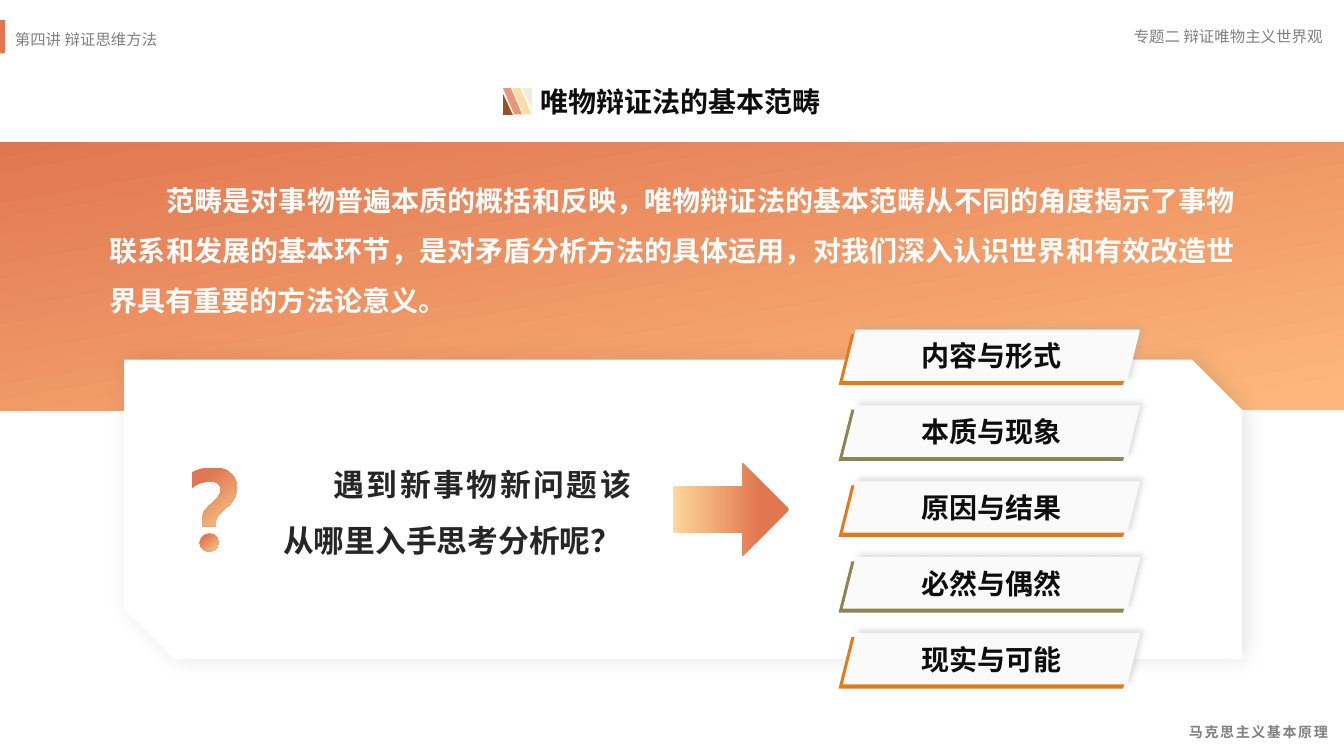
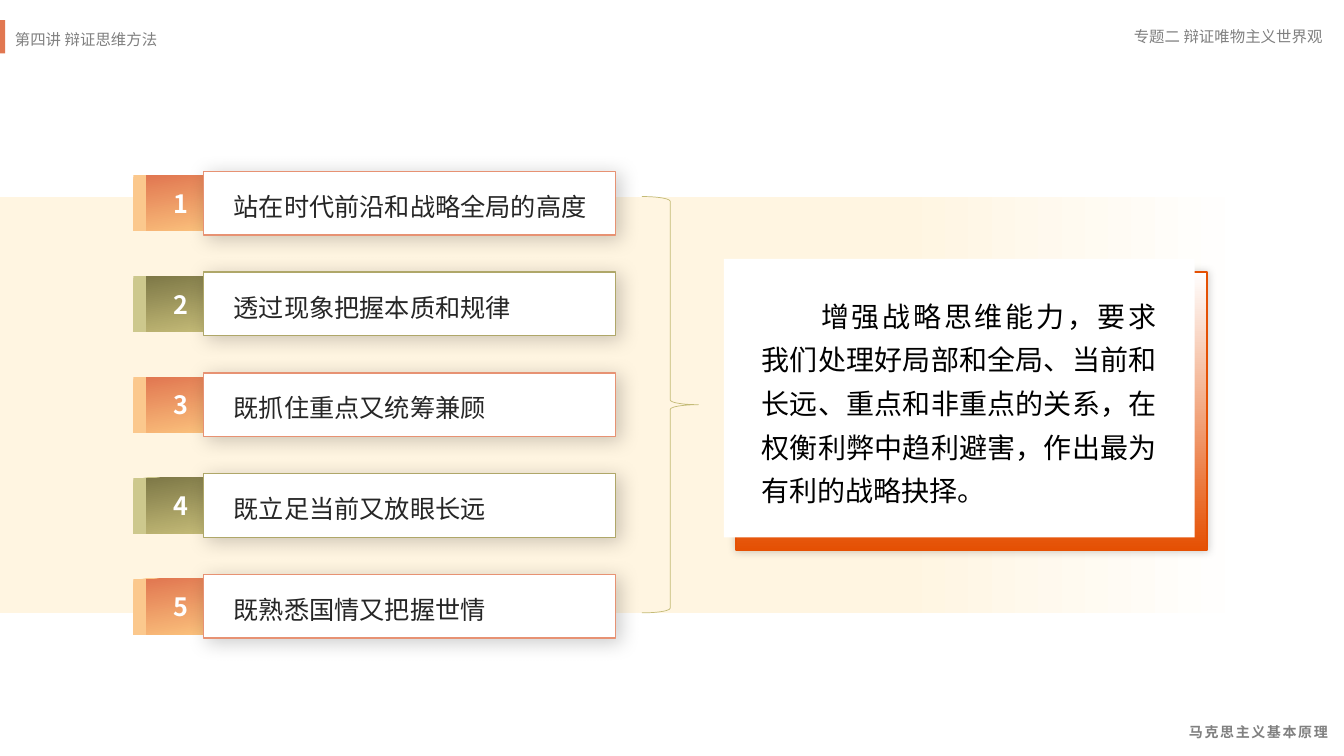
"""Build two slides on dialectical categories and strategic thinking."""
from lxml.etree import SubElement
from pptx import Presentation
from pptx.dml.color import RGBColor
from pptx.enum.shapes import MSO_SHAPE as SHAPE
from pptx.enum.text import MSO_ANCHOR as ANCHOR
from pptx.enum.text import MSO_AUTO_SIZE as AUTO_SIZE
from pptx.enum.text import PP_ALIGN as ALIGN
from pptx.oxml.ns import qn
from pptx.util import Pt

FONT = "Noto Sans CJK SC"
WHITE = RGBColor(0xFF, 0xFF, 0xFF)
BLACK = RGBColor(0x00, 0x00, 0x00)
INK = RGBColor(0x0D, 0x0D, 0x0D)
CHARCOAL = RGBColor(0x26, 0x26, 0x26)
GREY = RGBColor(0x80, 0x80, 0x80)
SHADE = RGBColor(0xAF, 0xAB, 0xAB)
PLATE = RGBColor(0xFA, 0xFA, 0xFA)
CORAL = RGBColor(0xE1, 0x77, 0x51)
CORAL_LIGHT = RGBColor(0xE8, 0x97, 0x79)
CORAL_LINE = RGBColor(0xE7, 0x92, 0x73)
APRICOT = RGBColor(0xFD, 0xB6, 0x7B)
PEACH = RGBColor(0xFB, 0xC2, 0x7D)
PEACH_TAB = RGBColor(0xFB, 0xC8, 0x8D)
SAND = RGBColor(0xF5, 0xCC, 0x8A)
HONEY = RGBColor(0xFE, 0xD7, 0x9B)
HONEY_LIGHT = RGBColor(0xFE, 0xDC, 0xA3)
IVORY = RGBColor(0xF2, 0xEB, 0xD9)
CREAM = RGBColor(0xFF, 0xF5, 0xE1)
BROWN = RGBColor(0x98, 0x51, 0x25)
ORANGE = RGBColor(0xE3, 0x7A, 0x17)
FLAME = RGBColor(0xE5, 0x50, 0x03)
OLIVE = RGBColor(0x8C, 0x85, 0x50)
OLIVE_DARK = RGBColor(0x7E, 0x78, 0x47)
OLIVE_LIGHT = RGBColor(0xC5, 0xBC, 0x78)
OLIVE_TAB = RGBColor(0xCD, 0xC8, 0x8D)
OLIVE_LINE = RGBColor(0xAF, 0xA7, 0x69)
BRACE = RGBColor(0xC4, 0xBB, 0x77)

CATEGORIES = ["内容与形式", "本质与现象", "原因与结果", "必然与偶然", "现实与可能"]
ABILITIES = [
    "站在时代前沿和战略全局的高度",
    "透过现象把握本质和规律",
    "既抓住重点又统筹兼顾",
    "既立足当前又放眼长远",
    "既熟悉国情又把握世情",
]
ROW_STYLES = [
    ((0, CORAL), (100, PEACH), PEACH_TAB, CORAL_LINE),
    ((0, OLIVE_DARK), (100, OLIVE_LIGHT), OLIVE_TAB, OLIVE_LINE),
]
MARK_START = (20, 0)
MARK_SEGMENTS = [
    (28, 0, 34, 1, 38, 5), (43, 9, 45, 14, 45, 20), (45, 24, 44, 28, 42, 31),
    (41, 34, 37, 38, 33, 41), (29, 44, 27, 47, 26, 48), (25, 50, 24, 52, 24, 54),
    (24, 58), (11, 58), (11, 53),
    (11, 49, 11, 46, 13, 43), (15, 41, 16, 38, 20, 36), (23, 33, 26, 30, 27, 28),
    (28, 26, 29, 24, 29, 22), (29, 19, 28, 17, 26, 16), (24, 14, 22, 14, 18, 14),
    (12, 14, 6, 16, 0, 21), (0, 5), (6, 1, 13, 0, 20, 0),
]


def set_values(target, values):
    """Set each named attribute of the target."""
    for name, value in values.items():
        setattr(target, name, value)


def place(shape, left, top, width, height):
    """Move and size a shape, in points."""
    set_values(shape, {"left": Pt(left), "top": Pt(top),
                       "width": Pt(width), "height": Pt(height)})


def write(shape, text, size, color, bold=False, align=ALIGN.LEFT, spacing=1.0,
          indent=0, tracking=0, anchor=ANCHOR.TOP, margins=(7.2, 7.2)):
    """Write one formatted paragraph into a shape."""
    frame = shape.text_frame
    set_values(frame, {"word_wrap": True, "auto_size": AUTO_SIZE.NONE,
                       "vertical_anchor": anchor, "margin_left": Pt(margins[0]),
                       "margin_right": Pt(margins[1])})
    paragraph = frame.paragraphs[0]
    set_values(paragraph, {"alignment": align, "line_spacing": spacing})
    if indent:
        paragraph._p.get_or_add_pPr().set("indent", str(Pt(indent)))
    run = paragraph.add_run()
    run.text = text
    set_values(run.font, {"name": FONT, "size": Pt(size), "bold": bold})
    run.font.color.rgb = color
    properties = run._r.get_or_add_rPr()
    SubElement(properties, qn("a:ea"), typeface=FONT)
    if tracking:
        properties.set("spc", str(int(tracking * 100)))


def add_text(slide, box, text, size, color, **style):
    """Add a text box with one paragraph."""
    shape = slide.shapes.add_textbox(*map(Pt, box))
    write(shape, text, size, color, **style)
    return shape


def paint_gradient(shape, first, last, angle):
    """Fill with two (percent, colour) stops along a clockwise angle."""
    shape.fill.gradient()
    shape.fill.gradient_angle = (360 - angle) % 360
    for stop, (percent, color) in zip(shape.fill.gradient_stops, (first, last)):
        stop.position = percent / 100
        stop.color.rgb = color


def cast_shadow(shape, color, opacity, blur, distance, direction):
    """Give a shape an outer shadow."""
    effects = shape._element.spPr.find(qn("a:effectLst"))
    shadow = SubElement(effects, qn("a:outerShdw"), blurRad=str(Pt(blur)),
                        dist=str(Pt(distance)), dir=str(direction * 60000),
                        algn="ctr", rotWithShape="0")
    tint = SubElement(shadow, qn("a:srgbClr"), val=str(color))
    SubElement(tint, qn("a:alpha"), val=str(opacity * 1000))


def style_shape(shape, fill=None, gradient=None, line=None, shadow=None, flip=""):
    """Set fill, outline, shadow and flips of a shape."""
    shape.shadow.inherit = False
    if gradient:
        paint_gradient(shape, *gradient)
    elif fill is not None:
        shape.fill.solid()
        shape.fill.fore_color.rgb = fill
    else:
        shape.fill.background()
    if line:
        shape.line.color.rgb = line[0]
        shape.line.width = Pt(line[1])
    else:
        shape.line.fill.background()
    if shadow:
        cast_shadow(shape, *shadow)
    for axis in flip:
        shape._element.spPr.xfrm.set("flip" + axis, "1")


def add_panel(slide, preset, box, **style):
    """Add a styled preset shape."""
    shape = slide.shapes.add_shape(preset, *map(Pt, box))
    style_shape(shape, **style)
    return shape


def curve_points(start, segments, steps=8):
    """List the vertices of an outline of lines and cubic curves."""
    points = []
    here = start
    for segment in segments:
        end = segment[-2:]
        if len(segment) == 2:
            points.append(end)
        else:
            corners = (here, segment[:2], segment[2:4], end)
            for step in range(1, steps + 1):
                t = step / steps
                weights = ((1 - t) ** 3, 3 * t * (1 - t) ** 2, 3 * t * t * (1 - t), t ** 3)
                points.append(tuple(sum(weight * corner[axis] for weight, corner
                                        in zip(weights, corners)) for axis in (0, 1)))
        here = end
    return points


def add_question_mark(slide):
    """Draw the large question mark."""
    gradient = ((22, CORAL), (100, SAND), 50)
    start, *points = [(x * 10, y * 10) for x, y in
                      [MARK_START] + curve_points(MARK_START, MARK_SEGMENTS)]
    builder = slide.shapes.build_freeform(*start, scale=Pt(0.072))
    builder.add_line_segments(points, close=True)
    style_shape(builder.convert_to_shape(Pt(136.8), Pt(334)), gradient=gradient)
    add_panel(slide, SHAPE.OVAL, (142.5, 381, 13.7, 13), gradient=gradient)


def add_title(slide, text):
    """Fill the title and draw its striped icon."""
    place(slide.shapes.title, 378.7, 57, 222, 31.7)
    write(slide.shapes.title, text, 20, INK, bold=True)
    for preset, box, color, flip in (
        (SHAPE.PARALLELOGRAM, (366, 63, 13.7, 18.7), HONEY_LIGHT, "H"),
        (SHAPE.RIGHT_TRIANGLE, (373, 63, 7, 15), IVORY, "HV"),
        (SHAPE.PARALLELOGRAM, (359.3, 63, 13.7, 18.7), CORAL_LIGHT, "H"),
        (SHAPE.RIGHT_TRIANGLE, (359.3, 67, 7, 15), BROWN, ""),
    ):
        stripe = add_panel(slide, preset, box, fill=color, flip=flip)
        if preset == SHAPE.PARALLELOGRAM:
            stripe.adjustments[0] = 0.585


def add_category(slide, index, text):
    """Add one slanted category plate."""
    top = 235.4 + 54.2 * index
    accent = (ORANGE, OLIVE)[index % 2]
    add_panel(slide, SHAPE.PARALLELOGRAM, (599, top + 2.9, 212.4, 36.7), fill=accent)
    plate = add_panel(slide, SHAPE.PARALLELOGRAM, (602, top, 212.4, 36.7),
                      fill=PLATE, shadow=(SHADE, 40, 4, 3, 315))
    write(plate, text, 20, INK, bold=True, align=ALIGN.CENTER, anchor=ANCHOR.MIDDLE)


def add_ability(slide, index, text):
    """Add one numbered row."""
    top = 122.4 + 72 * index
    first, last, tab, edge = ROW_STYLES[index % 2]
    badge = add_panel(slide, SHAPE.RECTANGLE, (104.4, top + 2.9, 50.4, 39.6),
                      gradient=(first, last, 80), shadow=(tab, 100, 0, 9, 180))
    write(badge, str(index + 1), 18, WHITE, bold=True, align=ALIGN.CENTER,
          anchor=ANCHOR.MIDDLE)
    row = add_panel(slide, SHAPE.RECTANGLE, (145.4, top, 294.5, 45.4), fill=WHITE,
                    line=(edge, 1), shadow=(BLACK, 20, 14, 3, 45))
    write(row, text, 18, CHARCOAL, spacing=1.2, anchor=ANCHOR.MIDDLE, margins=(21.6, 7.2))


def add_master_frame(presentation, slide):
    """Draw the shared header and footer and move them to the master."""
    frame = [
        add_text(slide, (769, 507, 186.5, 23), "马克思主义基本原理", 10, GREY,
                 bold=True, align=ALIGN.RIGHT, spacing=1.5, tracking=1.2),
        add_text(slide, (715, 15.8, 236.9, 21), "专题二 辩证唯物主义世界观", 11, GREY,
                 align=ALIGN.RIGHT),
        add_text(slide, (3.6, 15.1, 563.8, 21.6), "第四讲 辩证思维方法", 11, GREY,
                 align=ALIGN.JUSTIFY, spacing=1.2),
        add_panel(slide, SHAPE.RECTANGLE, (0, 14.4, 3.6, 23.8), fill=CORAL),
    ]
    for number, shape in enumerate(frame, 100):
        shape._element.nvSpPr.cNvPr.set("id", str(number))
        presentation.slide_master.shapes._spTree.append(shape._element)


def build_categories(slide):
    """Build the slide on the basic categories."""
    add_title(slide, "唯物辩证法的基本范畴")
    add_panel(slide, SHAPE.RECTANGLE, (0, 102, 960, 191),
              gradient=((4, APRICOT), (100, CORAL), 260))
    add_panel(slide, SHAPE.SNIP_2_DIAG_RECTANGLE, (88.6, 257, 798.5, 213.8),
              fill=WHITE, shadow=(INK, 10, 15, 3, 0))
    add_text(slide, (71.3, 115.2, 818, 112.3),
             "范畴是对事物普遍本质的概括和反映，唯物辩证法的基本范畴从不同的角度揭示了事物"
             "联系和发展的基本环节，是对矛盾分析方法的具体运用，对我们深入认识世界和有效改造世"
             "界具有重要的方法论意义。",
             20, WHITE, bold=True, align=ALIGN.JUSTIFY, spacing=1.5, indent=40.5)
    add_text(slide, (195.1, 316, 262.8, 82.8), "遇到新事物新问题该从哪里入手思考分析呢？",
             22, CHARCOAL, bold=True, align=ALIGN.JUSTIFY, spacing=1.5, indent=36)
    add_question_mark(slide)
    add_panel(slide, SHAPE.RIGHT_ARROW, (480.5, 331, 83, 66),
              gradient=((0, HONEY), (75, CORAL), 0))
    for index, text in enumerate(CATEGORIES):
        add_category(slide, index, text)


def build_abilities(slide):
    """Build the slide on strategic thinking."""
    add_panel(slide, SHAPE.RECTANGLE, (0, 140.4, 891.4, 297.4),
              gradient=((0, WHITE), (28, CREAM), 180))
    for index, text in enumerate(ABILITIES):
        add_ability(slide, index, text)
    add_panel(slide, SHAPE.RIGHT_BRACE, (458.6, 140.4, 40.3, 297.4), line=(BRACE, 0.5))
    add_panel(slide, SHAPE.RECTANGLE, (525.6, 194, 336.3, 199),
              gradient=((0, FLAME), (100, WHITE), 270), line=(FLAME, 1.5),
              shadow=(BLACK, 20, 6, 0, 315))
    card = add_panel(slide, SHAPE.RECTANGLE, (517, 185, 336.3, 199), fill=WHITE)
    write(card, "增强战略思维能力，要求我们处理好局部和全局、当前和长远、重点和非重点的关系，"
          "在权衡利弊中趋利避害，作出最为有利的战略抉择。",
          20, BLACK, align=ALIGN.JUSTIFY, spacing=1.3, indent=42.5,
          anchor=ANCHOR.MIDDLE, margins=(27, 27))


def main():
    """Build and save the presentation."""
    presentation = Presentation()
    set_values(presentation, {"slide_width": Pt(960), "slide_height": Pt(540)})
    title_only, blank = presentation.slide_layouts[5], presentation.slide_layouts[6]
    categories = presentation.slides.add_slide(title_only)
    add_master_frame(presentation, categories)
    build_categories(categories)
    build_abilities(presentation.slides.add_slide(blank))
    presentation.save("out.pptx")


if __name__ == "__main__":
    main()
